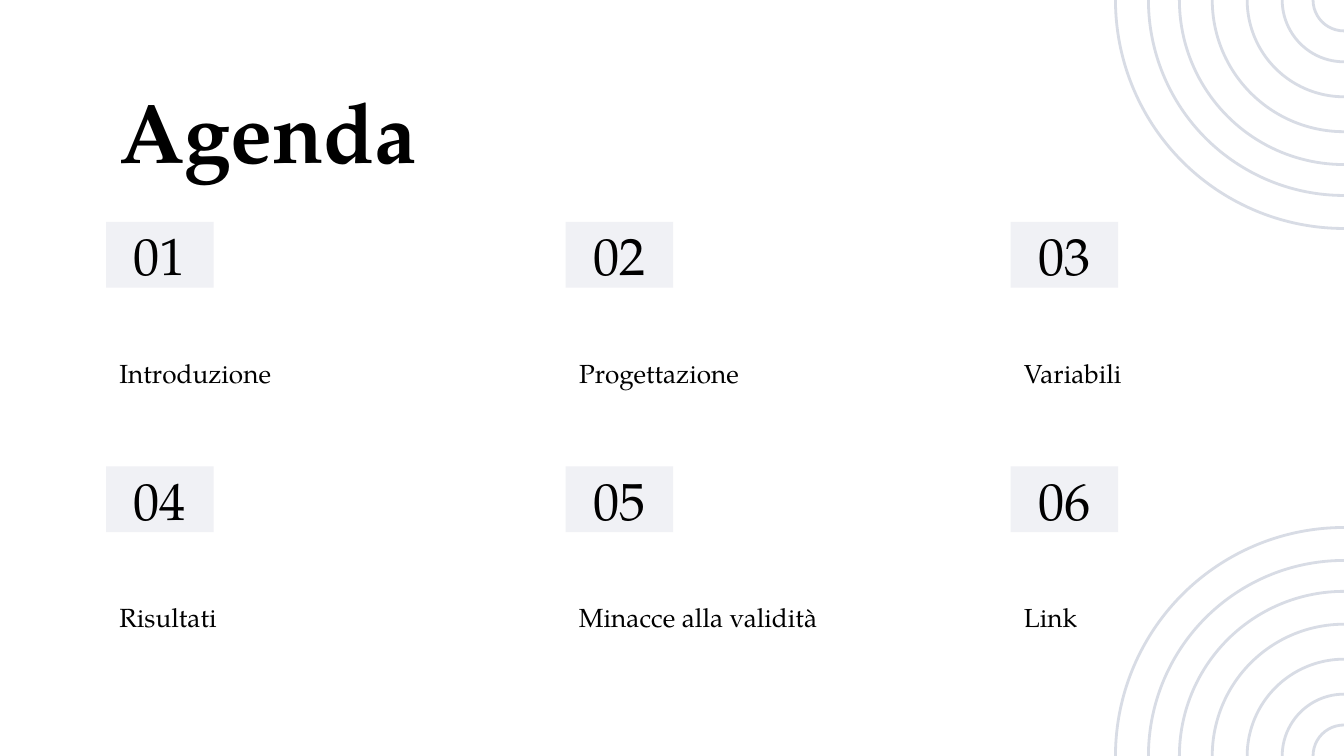
from dataclasses import dataclass

from pptx import Presentation
from pptx.dml.color import RGBColor
from pptx.enum import shapes, text
from pptx.util import Inches, Pt


@dataclass(frozen=True)
class Theme:
    font: str = "TeX Gyre Pagella"
    ink: str = "000000"
    tile: str = "F0F1F5"
    ring: str = "D8DCE5"
    title: int = 45
    number: int = 28
    label: int = 14


@dataclass(frozen=True)
class Topic:
    name: str
    width: float = 2.52


THEME = Theme()
WIDTH = 10
HEIGHT = WIDTH * 9 / 16
COLS = (0.79, 4.21, 7.52)
ROWS = (1.65, 3.47)
RINGS = (2.45, 1.96, 0.46, 0.92, 1.44, 2.91, 3.4)
TOPICS = (
    Topic("Introduzione"),
    Topic("Progettazione"),
    Topic("Variabili"),
    Topic("Risultati"),
    Topic("Minacce alla validità", 2.76),
    Topic("Link"),
)


def write(shape, words: str, size: int, bold: bool = False,
          align=text.PP_ALIGN.LEFT, anchor=text.MSO_ANCHOR.TOP) -> None:
    frame = shape.text_frame
    frame.word_wrap = True
    frame.vertical_anchor = anchor
    frame.margin_left = frame.margin_right = Inches(0.1)
    frame.margin_top = frame.margin_bottom = Inches(0.1)
    para = frame.paragraphs[0]
    para.alignment = align
    run = para.add_run()
    run.text = words
    run.font.name = THEME.font
    run.font.size = Pt(size)
    run.font.bold = bold
    run.font.color.rgb = RGBColor.from_string(THEME.ink)


def draw_rings(slide, x: float, y: float) -> None:
    group = slide.shapes.add_group_shape()
    for size in RINGS:
        ring = group.shapes.add_shape(
            shapes.MSO_SHAPE.OVAL, Inches(x - size / 2), Inches(y - size / 2),
            Inches(size), Inches(size))
        ring.shadow.inherit = False
        ring.fill.background()
        ring.line.color.rgb = RGBColor.from_string(THEME.ring)
        ring.line.width = Pt(1.5)


def draw_tile(slide, number: int, x: float, y: float) -> None:
    tile = slide.shapes.add_shape(
        shapes.MSO_SHAPE.RECTANGLE, Inches(x), Inches(y),
        Inches(0.8), Inches(0.49))
    tile.shadow.inherit = False
    tile.fill.solid()
    tile.fill.fore_color.rgb = RGBColor.from_string(THEME.tile)
    tile.line.fill.background()
    write(tile, f"{number:02d}", THEME.number,
          align=text.PP_ALIGN.CENTER, anchor=text.MSO_ANCHOR.MIDDLE)


def draw_topic(slide, number: int, topic: Topic, x: float, y: float) -> None:
    draw_tile(slide, number, x, y)
    label = slide.shapes.add_textbox(
        Inches(x), Inches(y + 0.52), Inches(topic.width), Inches(0.82))
    write(label, topic.name, THEME.label, anchor=text.MSO_ANCHOR.BOTTOM)


def main() -> None:
    deck = Presentation()
    deck.slide_width = Inches(WIDTH)
    deck.slide_height = Inches(HEIGHT)
    slide = deck.slides.add_slide(deck.slide_layouts[6])

    draw_rings(slide, WIDTH, 0)
    title = slide.shapes.add_textbox(
        Inches(0.79), Inches(0.49), Inches(8.43), Inches(0.63))
    write(title, "Agenda", THEME.title, bold=True)
    for index, topic in enumerate(TOPICS):
        row, col = divmod(index, len(COLS))
        draw_topic(slide, index + 1, topic, COLS[col], ROWS[row])
    draw_rings(slide, WIDTH, HEIGHT)

    deck.save("out.pptx")


if __name__ == "__main__":
    main()
